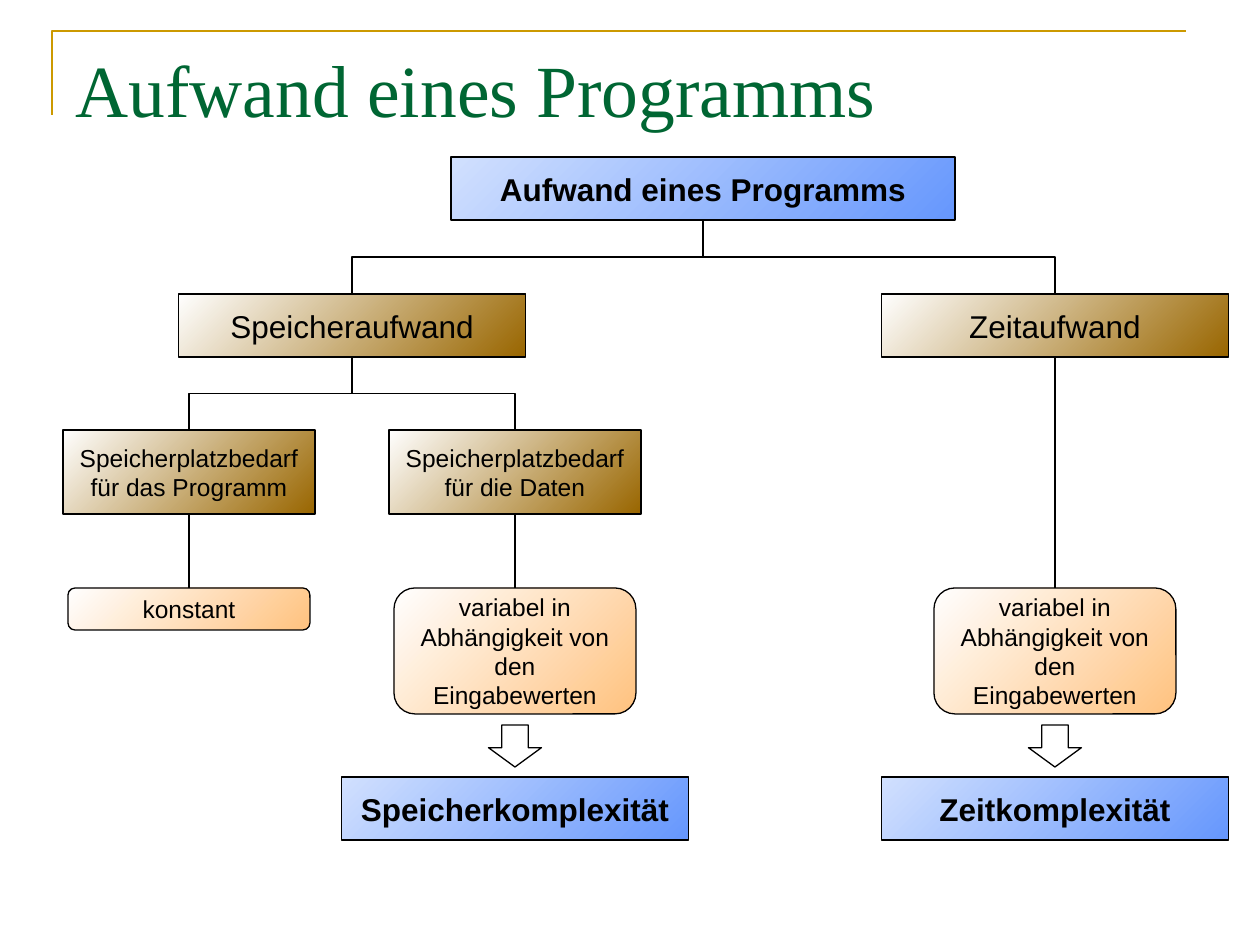
"""Build a slide with a tree diagram of the cost of a program."""
from dataclasses import dataclass

from lxml.etree import SubElement
from pptx import Presentation
from pptx.dml.color import RGBColor
from pptx.enum.shapes import MSO_CONNECTOR, MSO_SHAPE
from pptx.enum.text import MSO_ANCHOR, PP_ALIGN
from pptx.oxml.ns import qn
from pptx.util import Pt

PX = 914400 / 126


@dataclass(frozen=True)
class Theme:
    title_font: str = "Times New Roman"
    body_font: str = "Arial"
    title_size: int = 42
    large: int = 18
    small: int = 14
    line_width: float = 0.75
    frame_width: float = 1.5
    title: str = "006633"
    frame: str = "CC9900"
    ink: str = "000000"
    paper: str = "FFFFFF"
    blue: tuple = ("D1E0FE", "6697FD")
    brown: tuple = ("FFFFFF", "996600")
    orange: tuple = ("FFFFFF", "FFC27F")


THEME = Theme()
TITLE = "Aufwand eines Programms"
VARIABLE = ["variabel in Abhängigkeit von den Eingabewerten"]

STYLES = {
    "root": dict(width=504, height=63, colors=THEME.blue, size=THEME.large, bold=True),
    "cost": dict(width=347, height=63, colors=THEME.brown, size=THEME.large),
    "need": dict(width=252, height=84, colors=THEME.brown, size=THEME.small),
    "constant": dict(width=242, height=42, colors=THEME.orange, size=THEME.small, rounded=True),
    "variable": dict(width=242, height=126, colors=THEME.orange, size=THEME.small, rounded=True, wrap=True),
    "result": dict(width=347, height=63, colors=THEME.blue, size=THEME.large, bold=True),
}
COLUMNS = {"root": 703, "program": 189, "memory": 352, "data": 515, "time": 1055}
ROWS = {"root": 157, "cost": 294, "need": 430, "constant": 588, "variable": 588, "arrow": 725, "result": 777}
ARROW = (53, 42)
NODES = [
    ("root", "root", ["Aufwand eines Programms"]),
    ("time", "cost", ["Zeitaufwand"]),
    ("memory", "cost", ["Speicheraufwand"]),
    ("program", "need", ["Speicherplatzbedarf", "für das Programm"]),
    ("data", "need", ["Speicherplatzbedarf", "für die Daten"]),
    ("program", "constant", ["konstant"]),
    ("data", "variable", VARIABLE),
    ("time", "variable", VARIABLE),
    ("data", "result", ["Speicherkomplexität"]),
    ("time", "result", ["Zeitkomplexität"]),
]
LINKS = [
    (("root", "root"), ("memory", "cost")),
    (("root", "root"), ("time", "cost")),
    (("memory", "cost"), ("program", "need")),
    (("memory", "cost"), ("data", "need")),
    (("time", "cost"), ("time", "variable")),
    (("data", "need"), ("data", "variable")),
    (("program", "need"), ("program", "constant")),
]


def emu(*lengths):
    return [round(length * PX) for length in lengths]


def rgb(color):
    return RGBColor.from_string(color)


def write(frame, paragraphs, *, size, color=THEME.ink, font=THEME.body_font, bold=False,
          align=PP_ALIGN.CENTER, anchor=MSO_ANCHOR.MIDDLE, wrap=False):
    frame.word_wrap = wrap
    frame.vertical_anchor = anchor
    for index, text in enumerate(paragraphs):
        paragraph = frame.add_paragraph() if index else frame.paragraphs[0]
        paragraph.alignment = align
        run = paragraph.add_run()
        run.text = text
        run.font.name, run.font.size, run.font.bold = font, Pt(size), bold
        run.font.color.rgb = rgb(color)


def outline(part, color=THEME.ink, width=THEME.line_width):
    part.line.color.rgb = rgb(color)
    part.line.width = Pt(width)


def add_node(slide, column, row, paragraphs, *, width, height, colors, size,
             bold=False, rounded=False, wrap=False):
    preset = MSO_SHAPE.ROUNDED_RECTANGLE if rounded else MSO_SHAPE.RECTANGLE
    node = slide.shapes.add_shape(preset, *emu(COLUMNS[column] - width / 2, ROWS[row], width, height))
    node.shadow.inherit = False
    node.fill.gradient()
    node.fill.gradient_angle = 315
    for stop, color in zip(node.fill.gradient_stops, colors):
        stop.color.rgb = rgb(color)
    outline(node)
    write(node.text_frame, paragraphs, size=size, bold=bold, wrap=wrap)


def add_link(slide, parent, child):
    start_x, end_x = COLUMNS[parent[0]], COLUMNS[child[0]]
    start_y, end_y = ROWS[parent[1]] + STYLES[parent[1]]["height"], ROWS[child[1]]
    kind, ends, turn = MSO_CONNECTOR.STRAIGHT, (start_x, start_y, end_x, end_y), 0
    if start_x != end_x:
        kind = MSO_CONNECTOR.ELBOW
        middle_x, middle_y = (start_x + end_x) / 2, (start_y + end_y) / 2
        half_drop, half_span = (end_y - start_y) / 2, abs(end_x - start_x) / 2
        side, turn = (1, 90) if end_x < start_x else (-1, 270)
        ends = (middle_x - side * half_drop, middle_y - half_span,
                middle_x + side * half_drop, middle_y + half_span)
    link = slide.shapes.add_connector(kind, *emu(*ends))
    outline(link)
    properties = link._element.spPr
    if turn:
        properties.find(qn("a:xfrm")).set("rot", str(turn * 60000))
    SubElement(properties, qn("a:effectLst"))


def add_arrow(slide, column):
    width, height = ARROW
    arrow = slide.shapes.add_shape(
        MSO_SHAPE.DOWN_ARROW, *emu(COLUMNS[column] - width / 2, ROWS["arrow"], width, height))
    arrow.adjustments[1] = 0.46
    arrow.shadow.inherit = False
    arrow.fill.solid()
    arrow.fill.fore_color.rgb = rgb(THEME.paper)
    outline(arrow)


def add_frame(slide):
    builder = slide.shapes.build_freeform(52, 115, scale=PX)
    builder.add_line_segments([(52, 31), (1186, 31)], close=False)
    frame = builder.convert_to_shape()
    frame.shadow.inherit = False
    frame.fill.background()
    outline(frame, THEME.frame, THEME.frame_width)


def main():
    presentation = Presentation()
    presentation.slide_width, presentation.slide_height = emu(1260, 945)
    slide = presentation.slides.add_slide(presentation.slide_layouts[5])
    add_frame(slide)
    title = slide.shapes.title
    title.left, title.top, title.width, title.height = emu(63, 38, 1134, 157)
    write(title.text_frame, [TITLE], size=THEME.title_size, color=THEME.title, font=THEME.title_font,
          align=PP_ALIGN.LEFT, anchor=MSO_ANCHOR.TOP, wrap=True)
    for column, row, paragraphs in NODES:
        add_node(slide, column, row, paragraphs, **STYLES[row])
    for parent, child in LINKS:
        add_link(slide, parent, child)
    for column in ("data", "time"):
        add_arrow(slide, column)
    presentation.save("out.pptx")


if __name__ == "__main__":
    main()
